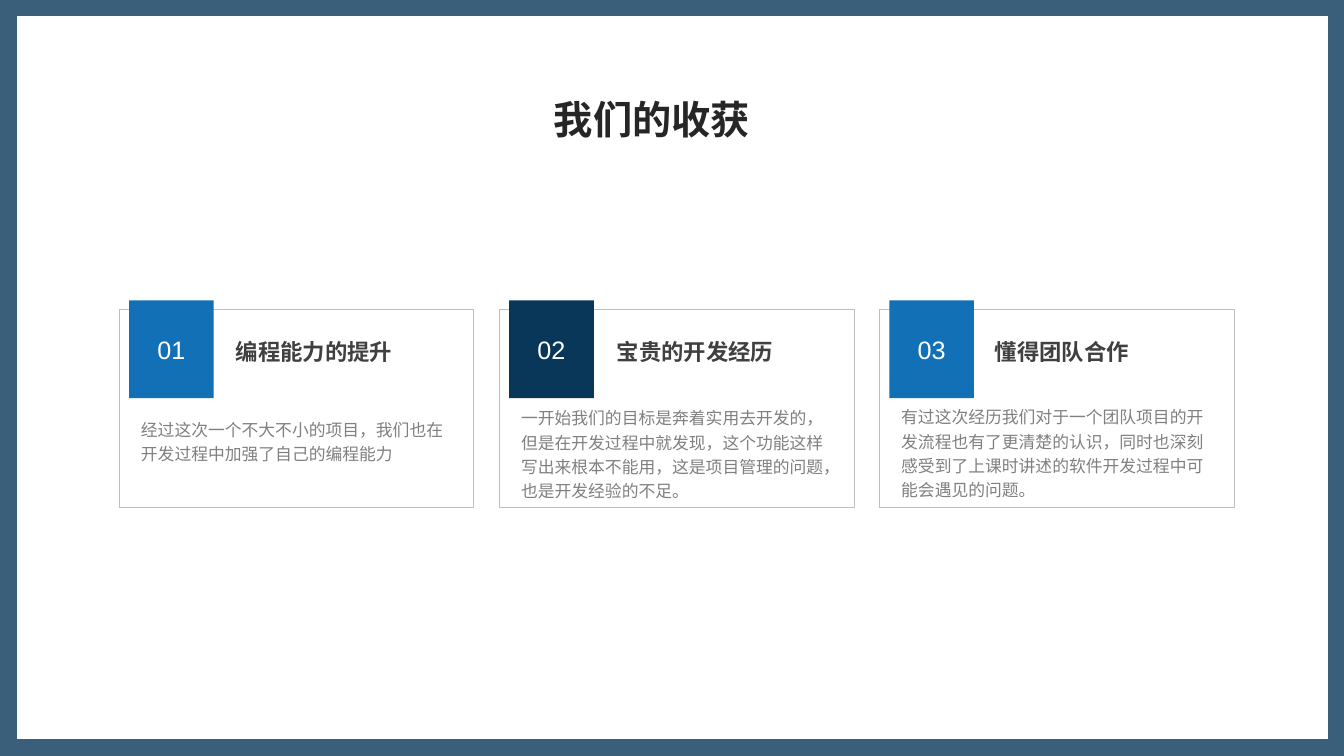
from lxml import etree
from pptx import Presentation
from pptx.dml.color import RGBColor
from pptx.enum import shapes, text
from pptx.oxml import ns
from pptx.util import Inches, Pt

WHITE = RGBColor(0xFF, 0xFF, 0xFF)
NAVY = RGBColor(0x09, 0x37, 0x59)
BLUE = RGBColor(0x12, 0x70, 0xB6)
OUTLINE = RGBColor(0xBF, 0xBF, 0xBF)
TITLE_INK = RGBColor(0x26, 0x26, 0x26)
HEADING_INK = RGBColor(0x40, 0x40, 0x40)
BODY_INK = RGBColor(0x80, 0x80, 0x80)

TITLE = {"size": Pt(28), "bold": True, "color": TITLE_INK}
NUMBER = {"size": Pt(18), "color": WHITE}
HEADING = {"size": Pt(16), "bold": True, "color": HEADING_INK}
BODY = {"size": Pt(12), "color": BODY_INK}

CARD_LEFT, CARD_TOP, CARD_STEP = 1.18, 3.07, 3.77

# Number, badge colour, heading, heading offset, body, body top, body height
CARDS = [
    ("01", BLUE, "编程能力的提升", 1.06,
     "经过这次一个不大不小的项目，我们也在开发过程中加强了自己的编程能力", 4.07, 0.58),
    ("02", NAVY, "宝贵的开发经历", 1.07,
     "一开始我们的目标是奔着实用去开发的，但是在开发过程中就发现，这个功能这样"
     "写出来根本不能用，这是项目管理的问题，也是开发经验的不足。", 3.96, 1.07),
    ("03", BLUE, "懂得团队合作", 1.05,
     "有过这次经历我们对于一个团队项目的开发流程也有了更清楚的认识，同时也深刻"
     "感受到了上课时讲述的软件开发过程中可能会遇见的问题。", 3.95, 1.07),
]


def write(frame, words, style, align=None, spacing=None):
    paragraph = frame.paragraphs[0]
    paragraph.alignment = align
    paragraph.line_spacing = spacing
    run = paragraph.add_run()
    run.text = words
    run.font.name = "Arial"
    for key, value in style.items():
        if key == "color":
            run.font.color.rgb = value
        else:
            setattr(run.font, key, value)
    east_asian = etree.SubElement(run.font._element, ns.qn("a:ea"))
    east_asian.set("typeface", "Arial")


def add_block(slide, place, fill=None, outline=None, opacity=None):
    block = slide.shapes.add_shape(
        shapes.MSO_SHAPE.RECTANGLE, *(Inches(n) for n in place))
    block.shadow.inherit = False
    if fill is None:
        block.fill.background()
    else:
        block.fill.solid()
        block.fill.fore_color.rgb = fill
    if outline is None:
        block.line.fill.background()
    else:
        block.line.color.rgb = outline
        block.line.width = Pt(0.5)
    if opacity is not None:
        color = block.fill._xPr.find(".//" + ns.qn("a:srgbClr"))
        etree.SubElement(color, ns.qn("a:alpha")).set("val", str(opacity * 1000))
    return block


def add_text(slide, place, words, style, align=None, spacing=None, wrap=True):
    frame = slide.shapes.add_textbox(*(Inches(n) for n in place)).text_frame
    frame.word_wrap = wrap
    frame.auto_size = text.MSO_AUTO_SIZE.SHAPE_TO_FIT_TEXT
    write(frame, words, style, align, spacing)


def add_card(slide, left, card):
    number, color, heading, heading_offset, body, body_top, body_height = card
    add_block(slide, (left, CARD_TOP, 3.52, 1.96), outline=OUTLINE)
    badge = add_block(slide, (left + 0.1, 2.98, 0.84, 0.97), fill=color)
    badge.text_frame.vertical_anchor = text.MSO_ANCHOR.MIDDLE
    write(badge.text_frame, number, NUMBER, text.PP_ALIGN.CENTER)
    add_text(slide, (left + heading_offset, 3.25, 2.1, 0.42), heading, HEADING,
             spacing=1.2)
    add_text(slide, (left + 0.12, body_top, 3.27, body_height), body, BODY,
             spacing=1.2)


def main():
    deck = Presentation()
    deck.slide_width, deck.slide_height = Inches(13.33), Inches(7.5)
    slide = deck.slides.add_slide(deck.slide_layouts[6])

    # Frame around the page
    add_block(slide, (0, 0, 13.33, 7.5), fill=NAVY, opacity=80)
    add_block(slide, (0.17, 0.16, 13, 7.17), fill=WHITE)

    # Three numbered cards
    for index, card in enumerate(CARDS):
        add_card(slide, CARD_LEFT + index * CARD_STEP, card)

    # Title
    add_text(slide, (5.39, 0.9, 2.15, 0.57), "我们的收获", TITLE,
             align=text.PP_ALIGN.CENTER, wrap=False)

    deck.save("out.pptx")


if __name__ == "__main__":
    main()
